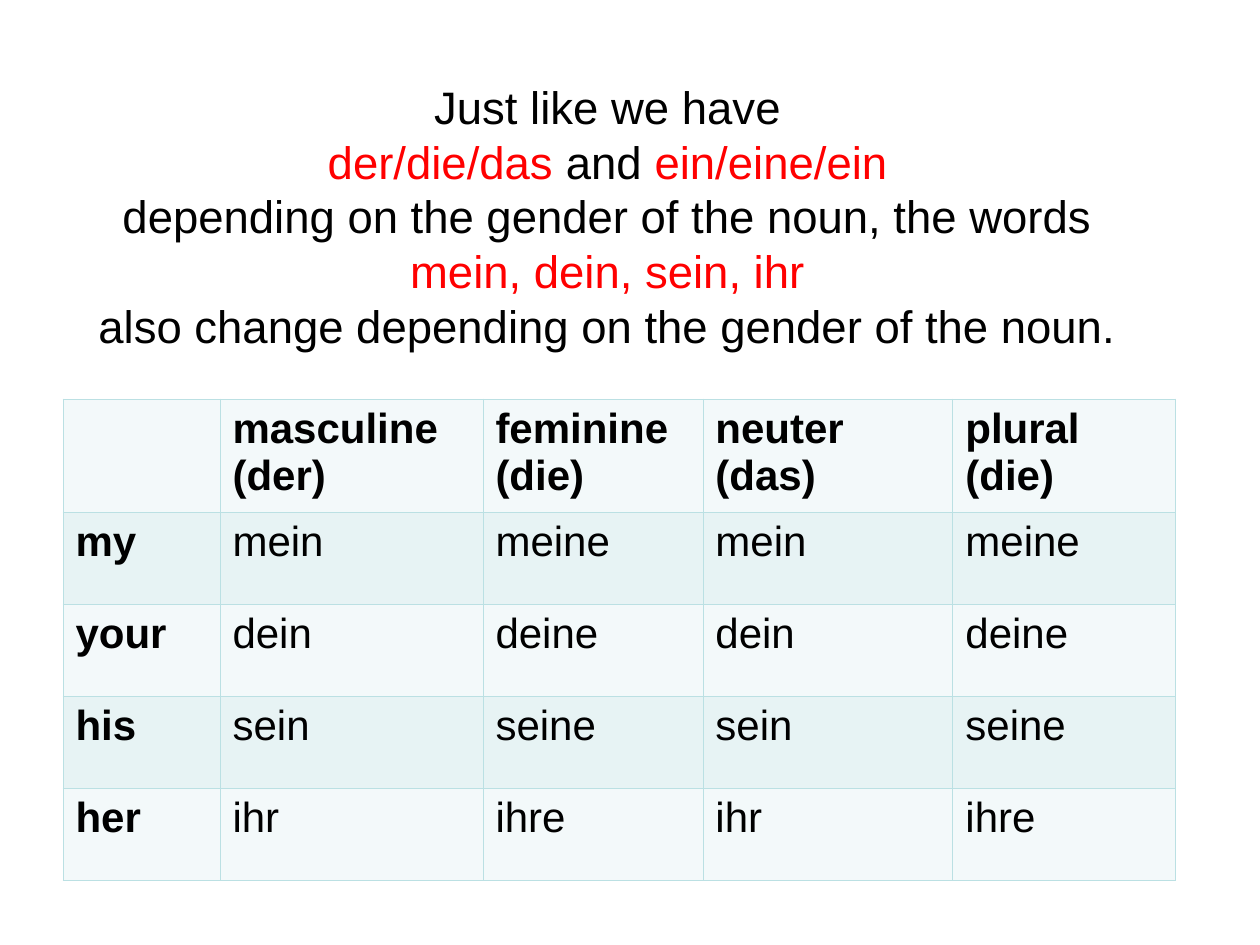
import pptx
import pptx.dml.color
import pptx.enum.text
import pptx.oxml
import pptx.oxml.ns
import pptx.util

PX = 914400 / 126
BLACK, RED, BORDER = "000000", "FF0000", "BBE0E3"
ROW_FILLS = ["F3F9FA", "E7F3F4"]


def rgb(color):
    return pptx.dml.color.RGBColor.from_string(color)


def add_run(p, text, size, color=BLACK, bold=False):
    r = p.add_run()
    r.text = text
    r.font.name = "Arial"
    r.font.size = pptx.util.Pt(size)
    r.font.bold = bold
    r.font.color.rgb = rgb(color)


prs = pptx.Presentation()
prs.slide_width = round(1260 * PX)
prs.slide_height = round(945 * PX)
s = prs.slides.add_slide(prs.slide_layouts[6])

# Introduction
intro = [
    [("Just like we have ", BLACK)],
    [("der/die/das ", RED), ("and ", BLACK), ("ein/eine/ein ", RED)],
    [("depending on the gender of the noun, the words ", BLACK)],
    [("mein, dein, sein, ihr ", RED)],
    [("also change depending on the gender of the noun. ", BLACK)],
]
box = s.shapes.add_textbox(*(round(v * PX) for v in (63, 73, 1102, 340)))
tf = box.text_frame
tf.word_wrap = True
for i, line in enumerate(intro):
    p = tf.add_paragraph() if i else tf.paragraphs[0]
    p.alignment = pptx.enum.text.PP_ALIGN.CENTER
    p.line_spacing = pptx.util.Pt(31.2)
    for text, color in line:
        add_run(p, text, 26, color)

# Possessive words by gender
rows = [
    ["", "masculine\n(der)", "feminine\n(die)", "neuter\n(das)", "plural\n(die)"],
    ["my", "mein", "meine", "mein", "meine"],
    ["your", "dein", "deine", "dein", "deine"],
    ["his", "sein", "seine", "sein", "seine"],
    ["her", "ihr", "ihre", "ihr", "ihre"],
]
col_widths = [157, 263, 220, 250, 223]
row_heights = [113] + [92] * 4
frame = s.shapes.add_table(
    len(rows), len(col_widths), round(63 * PX), round(399 * PX),
    round(sum(col_widths) * PX), round(sum(row_heights) * PX))
table = frame.table
for column, width in zip(table.columns, col_widths):
    column.width = round(width * PX)
for row, height in zip(table.rows, row_heights):
    row.height = round(height * PX)

for i, words in enumerate(rows):
    for j, word in enumerate(words):
        cell = table.cell(i, j)
        tf = cell.text_frame
        for k, line in enumerate(word.split("\n")):
            p = tf.add_paragraph() if k else tf.paragraphs[0]
            if line:
                add_run(p, line, 24, bold=i == 0 or j == 0)
        tcPr = cell._tc.get_or_add_tcPr()
        for side in ("lnL", "lnR", "lnT", "lnB"):
            tcPr.append(pptx.oxml.parse_xml(
                f'<a:{side} {pptx.oxml.ns.nsdecls("a")} w="{pptx.util.Pt(0.45)}">'
                f'<a:solidFill><a:srgbClr val="{BORDER}"/></a:solidFill></a:{side}>'))
        cell.fill.solid()
        cell.fill.fore_color.rgb = rgb(ROW_FILLS[i % 2])

prs.save("out.pptx")
